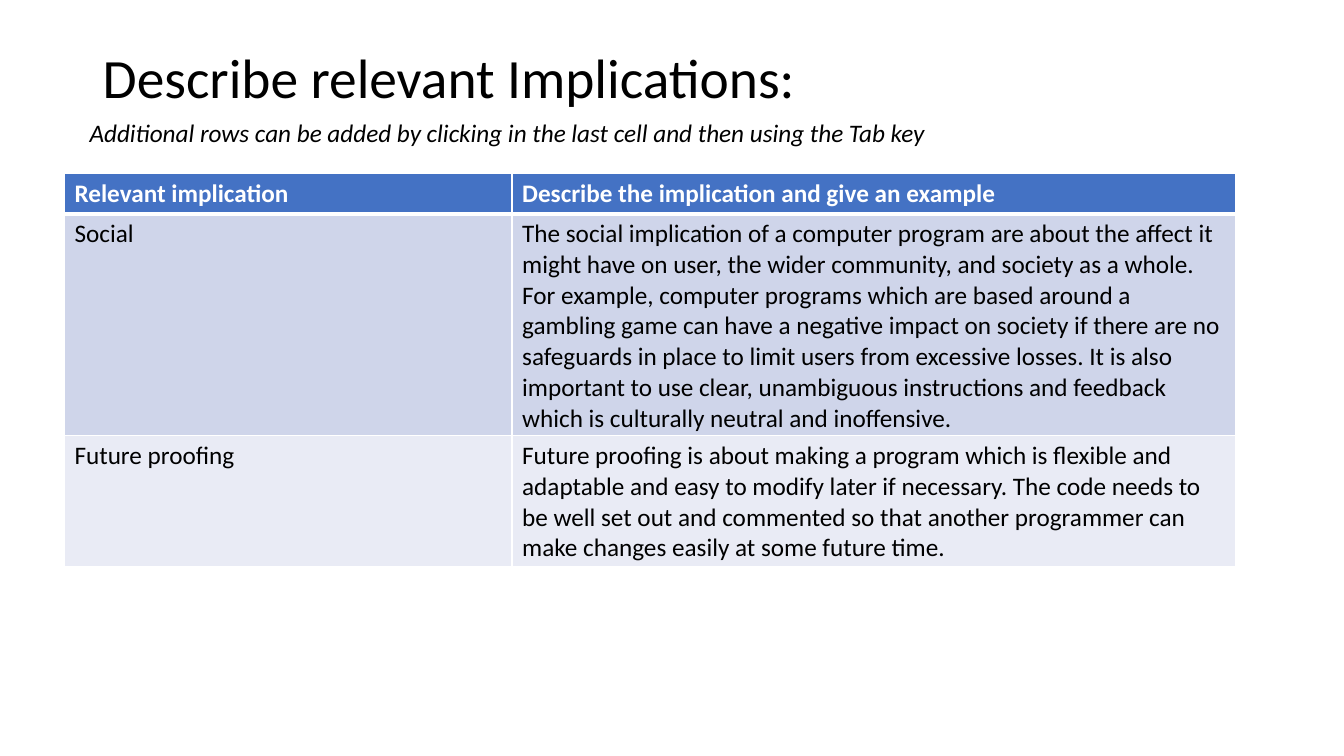
from typing import NamedTuple

from lxml.etree import SubElement
from pptx import Presentation
from pptx.dml.color import RGBColor
from pptx.enum.text import MSO_ANCHOR, MSO_AUTO_SIZE, PP_ALIGN
from pptx.oxml.ns import qn
from pptx.slide import Slide
from pptx.table import _Cell
from pptx.text.text import TextFrame
from pptx.util import Pt

FONT = "Calibri"
COLORS = {
    "text": "000000",
    "white": "FFFFFF",
    "header": "4472C4",
    "odd_row": "CFD5EA",
    "even_row": "E9EBF5",
}
COLUMN_WIDTHS = (319.7, 517)


class Box(NamedTuple):
    """Position and size in points."""
    left: float
    top: float
    width: float
    height: float


class TableRow(NamedTuple):
    """One row of the implications table."""
    implication: str
    description: str
    height: float
    fill: str
    color: str = "text"
    bold: bool = False
    bottom_border: float = 1


TITLE_BOX = Box(66.2, 28.8, 828, 43.9)
HINT_BOX = Box(56.9, 80.6, 787.7, 28.8)
TABLE_BOX = Box(46.1, 123.8, sum(COLUMN_WIDTHS), 280.8)

ROWS = (
    TableRow("Relevant implication", "Describe the implication and give an example",
             28.8, "header", "white", True, 3),
    TableRow("Social",
             "The social implication of a computer program are about the affect it might "
             "have on user, the wider community, and society as a whole. For example, "
             "computer programs which are based around a gambling game can have a negative "
             "impact on society if there are no safeguards in place to limit users from "
             "excessive losses. It is also important to use clear, unambiguous instructions "
             "and feedback which is culturally neutral and inoffensive.",
             158.4, "odd_row"),
    TableRow("Future proofing",
             "Future proofing is about making a program which is flexible and adaptable and "
             "easy to modify later if necessary. The code needs to be well set out and "
             "commented so that another programmer can make changes easily at some future "
             "time.",
             93.6, "even_row"),
)


def write_text(frame: TextFrame, text: str, size: float, color: str = "text",
               bold: bool = False, italic: bool = False) -> None:
    """Fill a text frame with one formatted paragraph."""
    frame.text = text
    frame.word_wrap = True
    paragraph = frame.paragraphs[0]
    paragraph.alignment = PP_ALIGN.LEFT
    font = paragraph.font
    font.name, font.size = FONT, Pt(size)
    font.bold, font.italic = bold, italic
    font.color.rgb = RGBColor.from_string(COLORS[color])


def set_borders(cell: _Cell, top: float, bottom: float) -> None:
    """Draw white borders, with the side borders one point wide."""
    properties = cell._tc.get_or_add_tcPr()
    widths = {"a:lnL": 1, "a:lnR": 1, "a:lnT": top, "a:lnB": bottom}
    for index, (tag, width) in enumerate(widths.items()):
        line = SubElement(properties, qn(tag), w=str(Pt(width)))
        properties.insert(index, line)
        fill = SubElement(line, qn("a:solidFill"))
        SubElement(fill, qn("a:srgbClr"), val=COLORS["white"])


def add_title(slide: Slide) -> None:
    """Place and format the title placeholder."""
    title = slide.shapes.title
    title.left, title.top, title.width, title.height = map(Pt, TITLE_BOX)
    frame = title.text_frame
    write_text(frame, "Describe relevant Implications:", 39.6)
    frame.auto_size = MSO_AUTO_SIZE.NONE
    frame.vertical_anchor = MSO_ANCHOR.MIDDLE
    frame.paragraphs[0].line_spacing = 1.15


def add_hint(slide: Slide) -> None:
    """Add the italic hint above the table."""
    frame = slide.shapes.add_textbox(*map(Pt, HINT_BOX)).text_frame
    write_text(frame, "Additional rows can be added by clicking in the last cell "
                      "and then using the Tab key", 18, italic=True)


def add_implications_table(slide: Slide) -> None:
    """Add the table of implications and their descriptions."""
    table = slide.shapes.add_table(len(ROWS), len(COLUMN_WIDTHS), *map(Pt, TABLE_BOX)).table
    for column, width in zip(table.columns, COLUMN_WIDTHS):
        column.width = Pt(width)
    top_border = 1
    for table_row, row in zip(table.rows, ROWS):
        table_row.height = Pt(row.height)
        for cell, text in zip(table_row.cells, (row.implication, row.description)):
            write_text(cell.text_frame, text, 18, row.color, row.bold)
            cell.fill.solid()
            cell.fill.fore_color.rgb = RGBColor.from_string(COLORS[row.fill])
            set_borders(cell, top_border, row.bottom_border)
        top_border = row.bottom_border


presentation = Presentation()
presentation.slide_width, presentation.slide_height = Pt(960), Pt(540)
slide = presentation.slides.add_slide(presentation.slide_layouts.get_by_name("Title Only"))
add_title(slide)
add_hint(slide)
add_implications_table(slide)
presentation.save("out.pptx")
